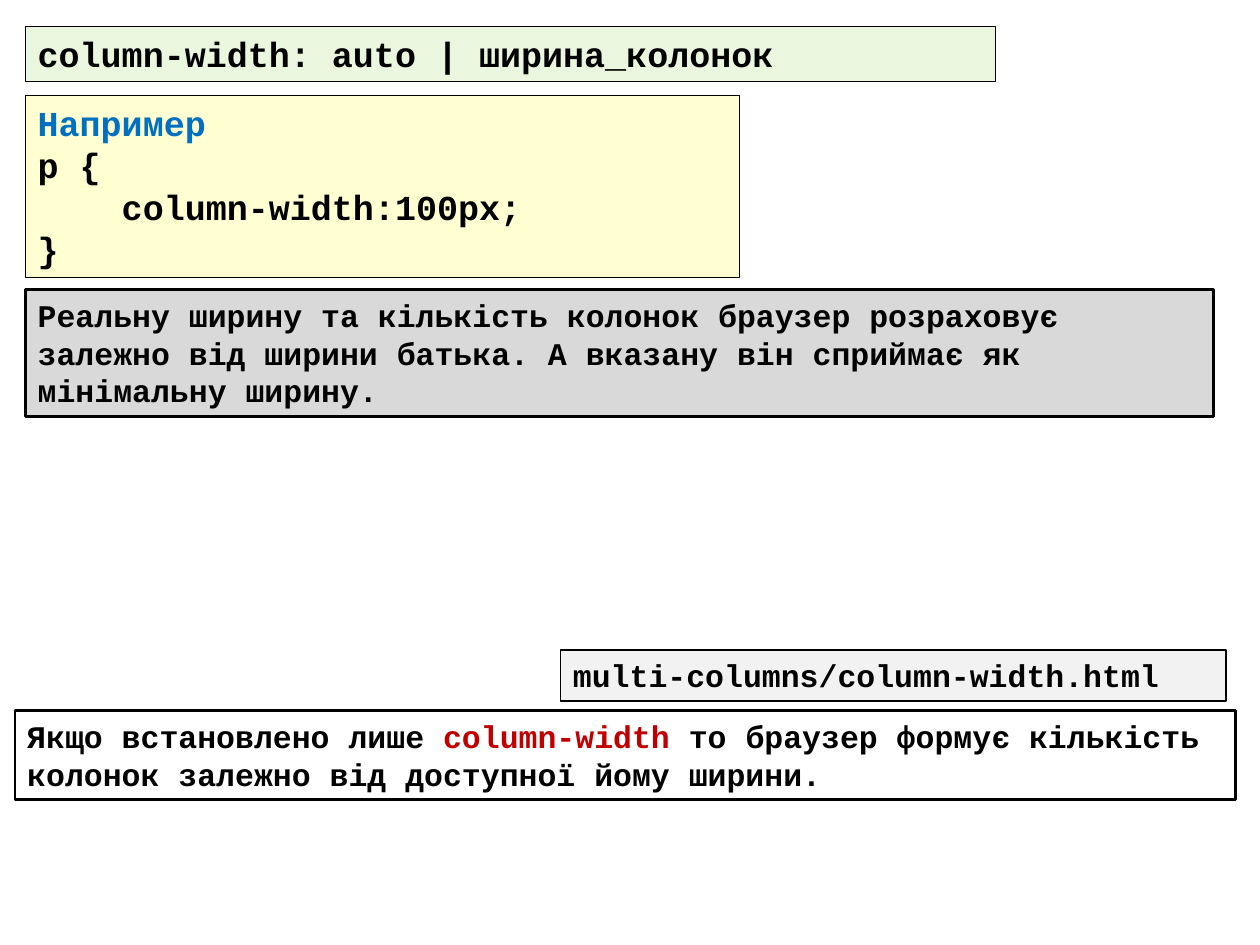
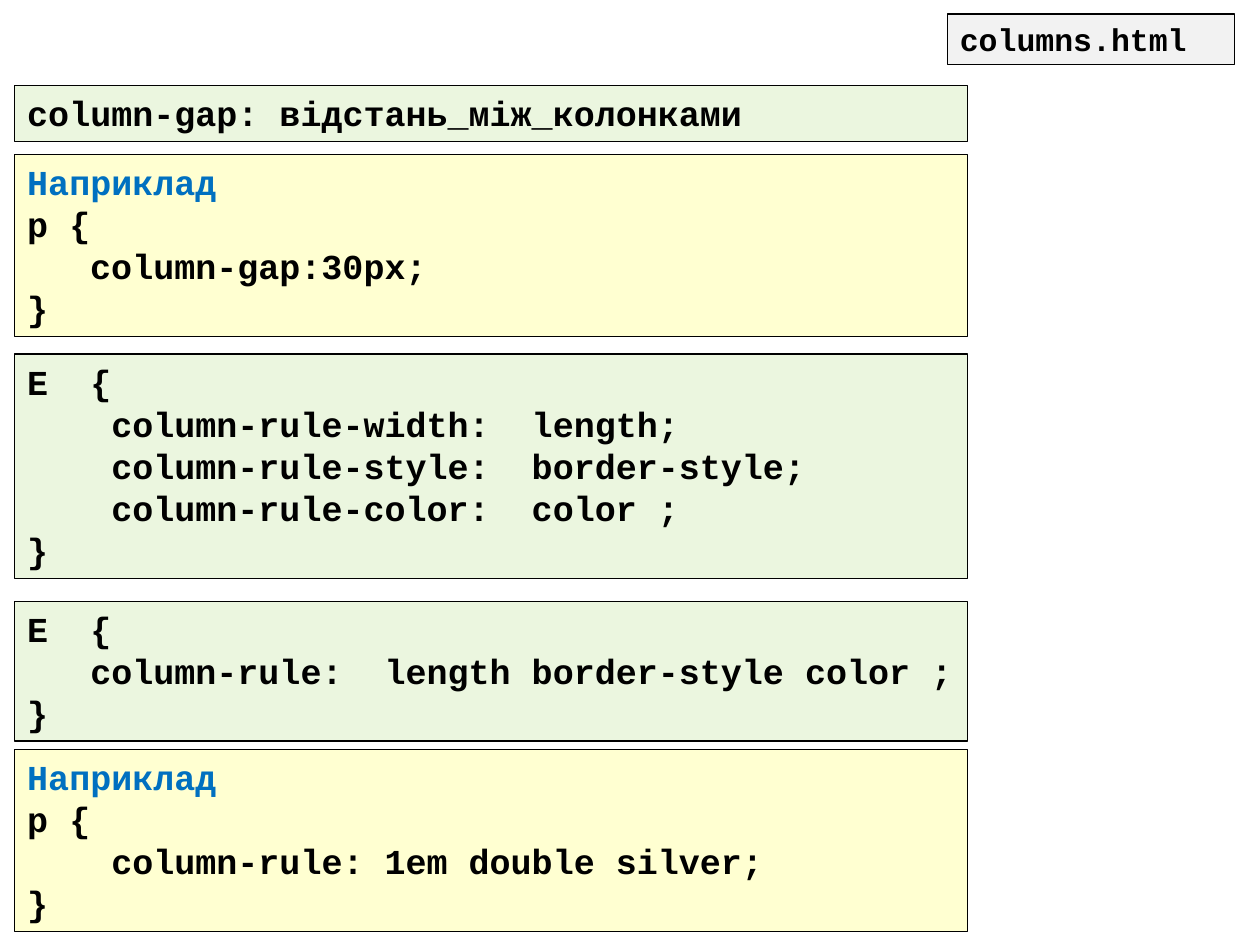
import pptx
import pptx.dml.color
import pptx.enum.text
import pptx.oxml.ns
import pptx.util
from lxml import etree

Cm = pptx.util.Cm
Pt = pptx.util.Pt

BLACK, BLUE, RED = "000000", "0070C0", "C00000"
GREEN, YELLOW = "92D050", "FFFF00"
GRAY, PALE, WHITE = "D9D9D9", "F2F2F2", "FFFFFF"
FONT = "Courier New"


def paint(target, shade):
    target.rgb = pptx.dml.color.RGBColor.from_string(shade)


def write(para, text, size=20, color=BLACK, bold=True):
    run = para.add_run()
    run.text = text
    font = run.font
    font.name, font.size, font.bold = FONT, Pt(size), bold
    paint(font.color, color)


class Deck:
    """Holds the shared style and the current slide of a CSS columns lesson."""

    def __init__(self):
        self.show = pptx.Presentation()
        self.show.slide_width, self.show.slide_height = Cm(25.4), Cm(19.05)
        self.slide = None

    def page(self):
        self.slide = self.show.slides.add_slide(self.show.slide_layouts[6])

    def box(self, left, top, width, height, fill, line, alpha=None):
        shape = self.slide.shapes.add_textbox(Cm(left), Cm(top), Cm(width), Cm(height))
        shape.fill.solid()
        paint(shape.fill.fore_color, fill)
        if alpha:
            tag = pptx.oxml.ns.qn("a:srgbClr")
            shade = next(shape.fill._xPr.iter(tag))
            etree.SubElement(shade, pptx.oxml.ns.qn("a:alpha"), val=str(alpha * 1000))
        paint(shape.line.color, BLACK)
        shape.line.width = Pt(line)
        frame = shape.text_frame
        frame.word_wrap = True
        frame.auto_size = pptx.enum.text.MSO_AUTO_SIZE.SHAPE_TO_FIT_TEXT
        return frame

    def code(self, left, top, width, lines, fill=GREEN, head=None):
        rows = [(line, BLACK) for line in lines]
        if head:
            rows.insert(0, (head, BLUE))
        frame = self.box(left, top, width, 0.27 + 0.85 * len(rows), fill, 0.75, alpha=18)
        for num, (text, color) in enumerate(rows):
            para = frame.add_paragraph() if num else frame.paragraphs[0]
            write(para, text, color=color)

    def sample(self, left, top, width, lines, head):
        self.code(left, top, width, lines, fill=YELLOW, head=head)

    def note(self, left, top, width, rows, parts, fill, line=1.5):
        frame = self.box(left, top, width, 0.25 + 0.77 * rows, fill, line)
        for text, color in parts:
            write(frame.paragraphs[0], text, size=18, color=color)

    def label(self, left, top, width, text):
        self.note(left, top, width, 1, [(text, BLACK)], PALE, line=1)


def width_page(deck):
    deck.page()
    left = 0.51
    deck.code(left, 0.53, 19.56, ["column-width: auto | ширина_колонок"])
    deck.sample(left, 1.93, 14.4, ["p {", "    column-width:100px;", "}"], "Например")
    deck.note(left, 5.84, 23.95, 3, [
        ("Реальну ширину та кількість колонок браузер розраховує залежно від "
         "ширини батька. А вказану він сприймає як мінімальну ширину.", BLACK),
    ], GRAY)
    deck.note(0.3, 14.33, 24.61, 2, [
        ("Якщо встановлено лише ", BLACK),
        ("column-width", RED),
        (" то браузер формує кількість колонок залежно від доступної йому ширини.", BLACK),
    ], WHITE)
    deck.label(11.3, 13.11, 13.41, "multi-columns/column-width.html")


def rule_page(deck):
    deck.page()
    left, width, head = 0.3, 19.2, "Наприклад"
    deck.label(19.1, 0.28, 5.79, "columns.html")
    deck.code(left, 1.73, width, ["column-gap: відстань_між_колонками"])
    deck.sample(left, 3.12, width, ["p {", "\tcolumn-gap:30px;", "}"], head)
    deck.code(left, 7.14, width, [
        "E  {",
        "    column-rule-width:  length;",
        "    column-rule-style:  border-style;",
        "    column-rule-color:  color ;",
        "}",
    ])
    deck.code(left, 12.12, width, [
        "E  {",
        "   column-rule:  length border-style color ;",
        "}",
    ])
    deck.sample(left, 15.11, width, ["p {", "    column-rule: 1em double silver;", "}"], head)


def main():
    deck = Deck()
    width_page(deck)
    rule_page(deck)
    deck.show.save("out.pptx")


if __name__ == "__main__":
    main()
